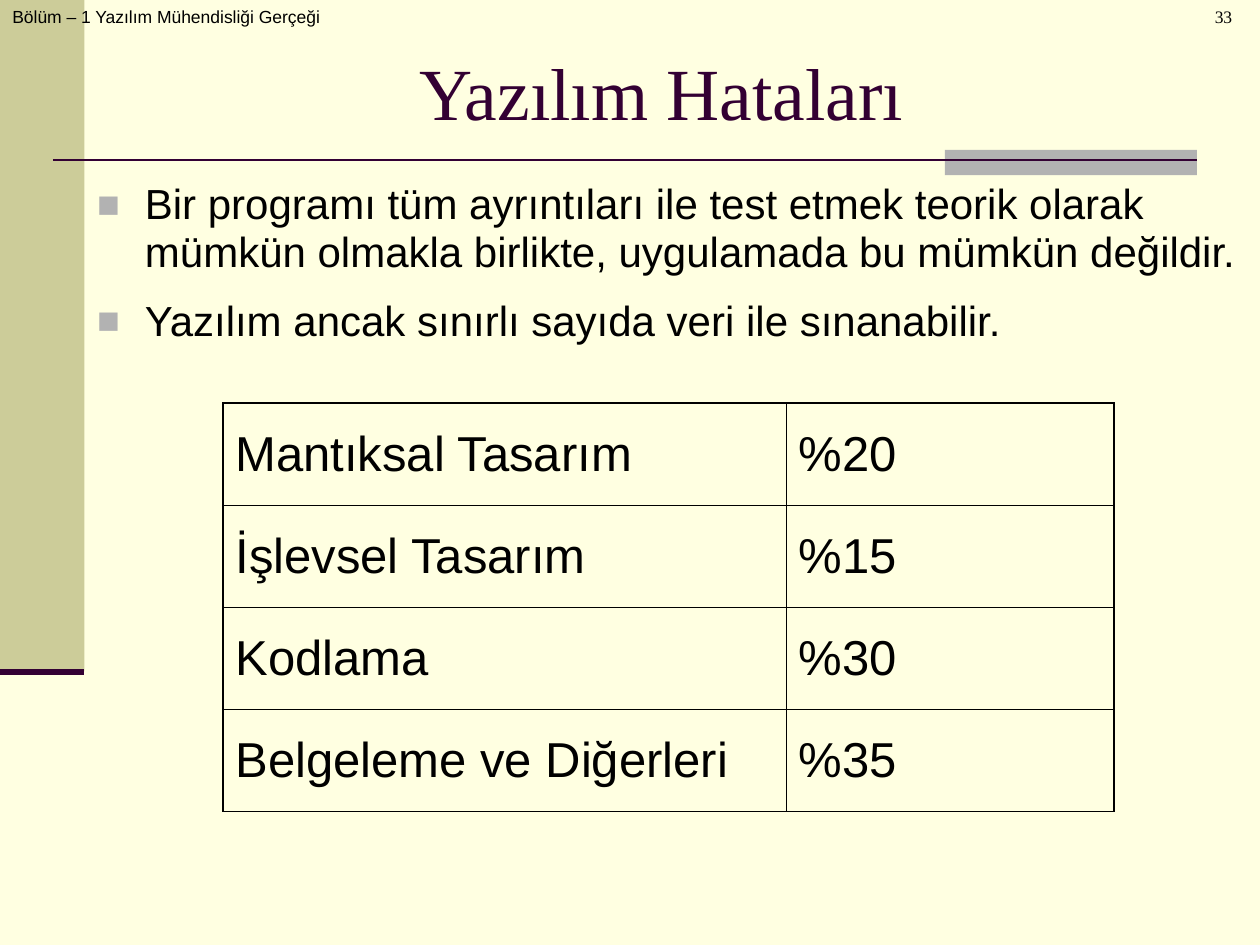
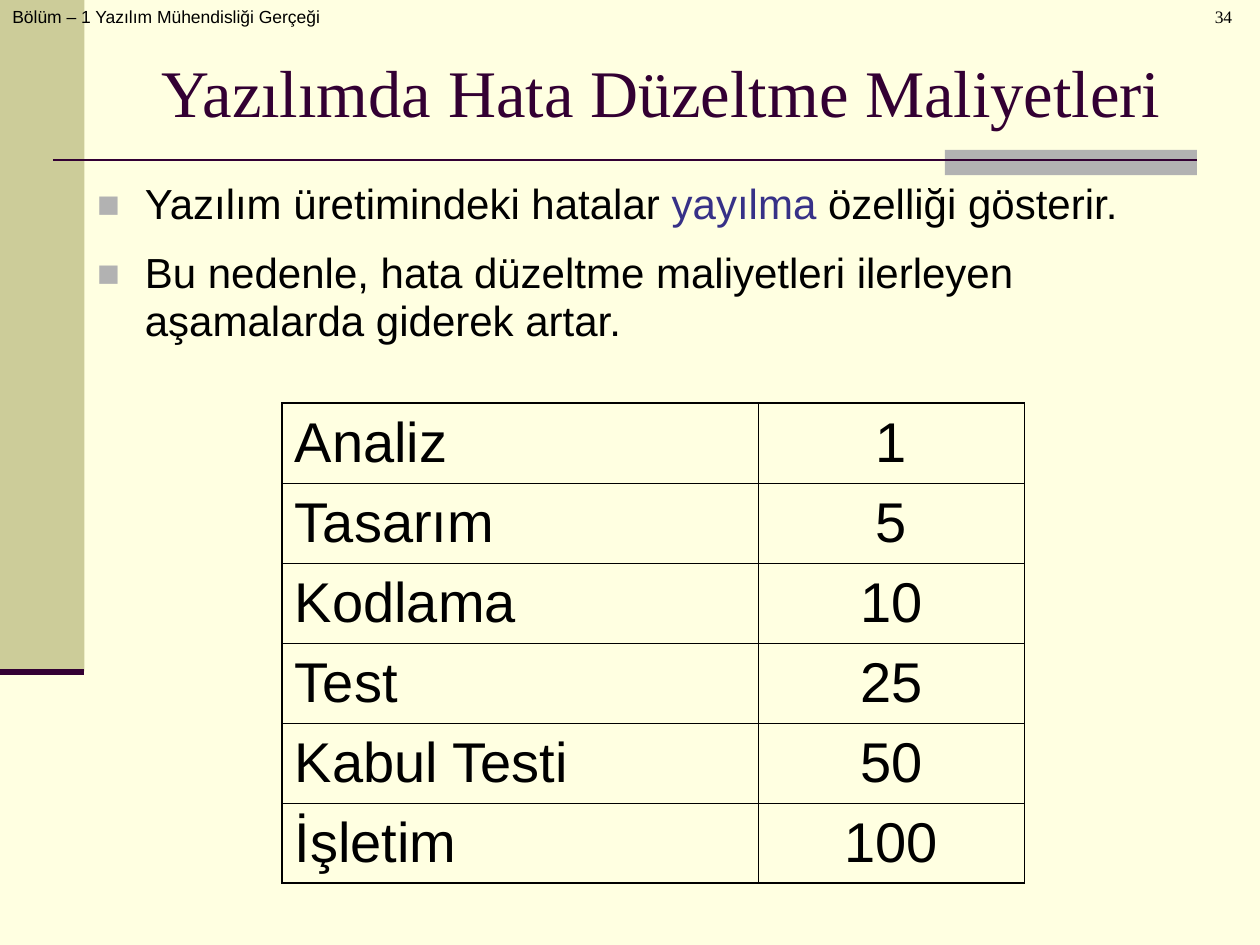
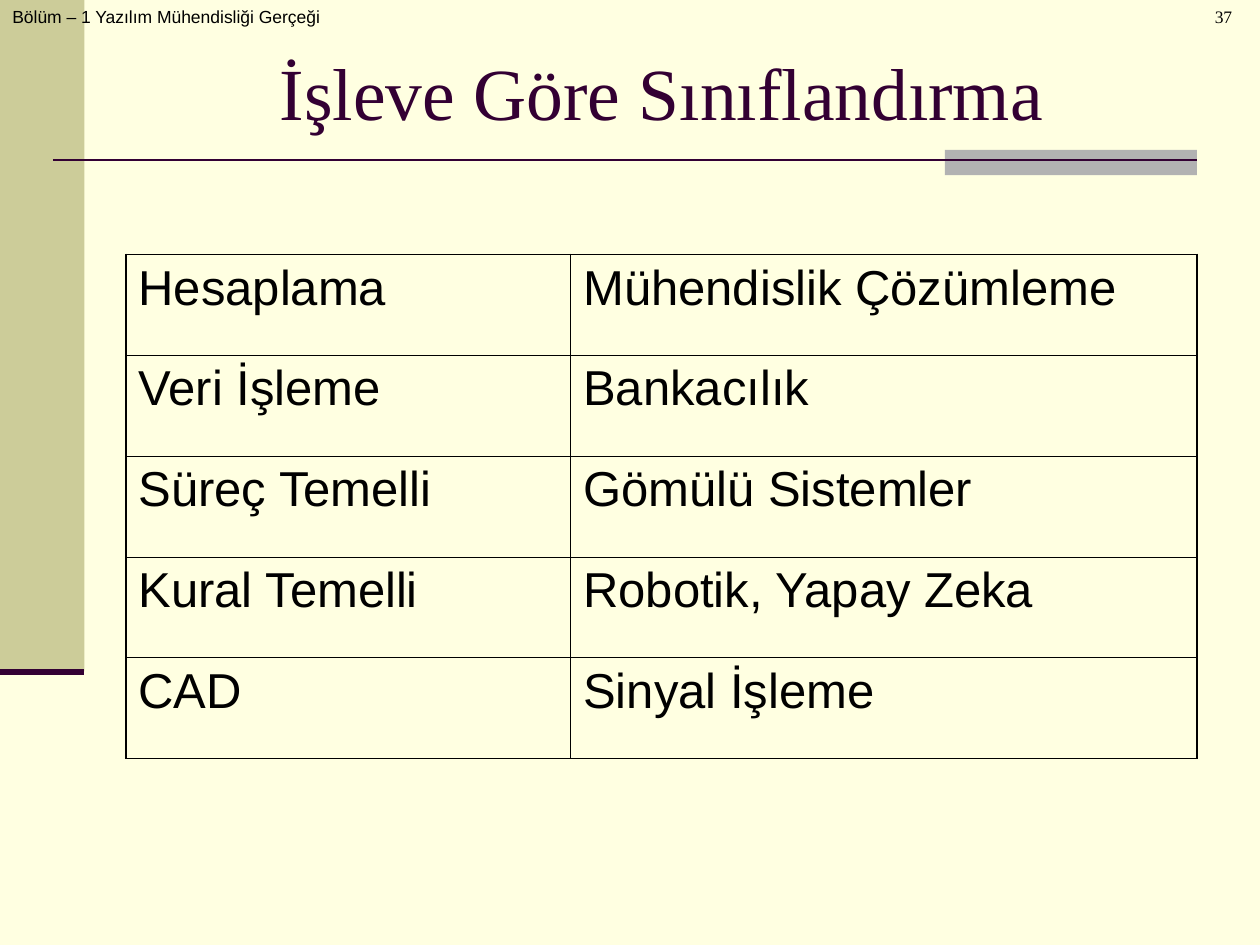
from lxml import etree
from pptx import Presentation
from pptx.dml.color import RGBColor
from pptx.enum.shapes import MSO_CONNECTOR, MSO_SHAPE
from pptx.enum.text import MSO_ANCHOR, MSO_AUTO_SIZE, PP_ALIGN
from pptx.oxml.ns import qn
from pptx.util import Inches, Pt

RECTANGLE, STRAIGHT = MSO_SHAPE.RECTANGLE, MSO_CONNECTOR.STRAIGHT
TOP, MIDDLE = MSO_ANCHOR.TOP, MSO_ANCHOR.MIDDLE
LEFT, CENTER = PP_ALIGN.LEFT, PP_ALIGN.CENTER
NO_AUTOFIT = MSO_AUTO_SIZE.NONE
TITLE_AND_CONTENT, TITLE_ONLY = 1, 5

COLORS = {"background": "FFFFE1", "band": "CCCC99", "accent": "B2B2B2",
          "title": "330033", "text": "000000", "highlight": "373187"}
SANS, SERIF = "Arial", "Times New Roman"
CHAPTER = "Bölüm – 1 Yazılım Mühendisliği Gerçeği"
OUTER_BORDER, INNER_BORDER = 1.08, 0.45

BANDS = [((0, 0, 0.67, 5.33), "band"), ((7.5, 1.19, 2, 0.2), "accent")]
RULES = [((0.42, 1.27, 9.5, 1.27), 1.5), ((0, 5.33, 0.67, 5.33), 3.5)]

# Each bullet is a list of (text, color) runs.
SLIDES = [
    {
        "number": 33, "title": "Yazılım Hataları", "title_size": 42,
        "body_width": 9.33,
        "bullets": [
            [("Bir programı tüm ayrıntıları ile test etmek teorik olarak mümkün "
              "olmakla birlikte, uygulamada bu mümkün değildir.", "text")],
            [("Yazılım ancak sınırlı sayıda veri ile sınanabilir.", "text")],
        ],
        "table": {
            "rows": [("Mantıksal Tasarım", "%20"), ("İşlevsel Tasarım", "%15"),
                     ("Kodlama", "%30"), ("Belgeleme ve Diğerleri", "%35")],
            "position": (1.77, 3.2), "widths": (4.47, 2.6), "row_height": 0.81,
            "size": 28, "anchor": MIDDLE, "alignments": (LEFT, LEFT),
        },
    },
    {
        "number": 34, "title": "Yazılımda Hata Düzeltme Maliyetleri", "title_size": 38,
        "body_width": 8.9,
        "bullets": [
            [("Yazılım üretimindeki hatalar ", "text"), ("yayılma", "highlight"),
             (" özelliği gösterir.", "text")],
            [("Bu nedenle, hata düzeltme maliyetleri ilerleyen aşamalarda "
              "giderek artar.", "text")],
        ],
        "table": {
            "rows": [("Analiz", "1"), ("Tasarım", "5"), ("Kodlama", "10"),
                     ("Test", "25"), ("Kabul Testi", "50"), ("İşletim", "100")],
            "position": (2.24, 3.2), "widths": (3.78, 2.11), "row_height": 0.635,
            "size": 32, "anchor": MIDDLE, "alignments": (LEFT, CENTER),
        },
    },
    {
        "number": 37, "title": "İşleve Göre Sınıflandırma", "title_size": 42,
        "table": {
            "rows": [("Hesaplama", "Mühendislik Çözümleme"),
                     ("Veri İşleme", "Bankacılık"),
                     ("Süreç Temelli", "Gömülü Sistemler"),
                     ("Kural Temelli", "Robotik, Yapay Zeka"),
                     ("CAD", "Sinyal İşleme")],
            "position": (1, 2.02), "widths": (3.53, 4.97), "row_height": 0.8,
            "size": 28, "anchor": TOP, "alignments": (LEFT, LEFT),
        },
    },
]


def rgb(name):
    return RGBColor.from_string(COLORS[name])


def set_attributes(target, **values):
    for name, value in values.items():
        setattr(target, name, value)


def place(shape, left, top, width, height):
    set_attributes(shape, left=Inches(left), top=Inches(top),
                   width=Inches(width), height=Inches(height))


def add_run(paragraph, text, size, font=SANS, color="text"):
    run = paragraph.add_run()
    run.text = text
    set_attributes(run.font, size=Pt(size), name=font)
    run.font.color.rgb = rgb(color)


def add_element(parent, tag, **attributes):
    return etree.SubElement(parent, qn(tag), attributes)


def add_bands(slide):
    for box, color in BANDS:
        band = slide.shapes.add_shape(RECTANGLE, *map(Inches, box))
        band.shadow.inherit = False
        band.fill.solid()
        band.fill.fore_color.rgb = rgb(color)
        band.line.fill.background()
    for ends, width in RULES:
        rule = slide.shapes.add_connector(STRAIGHT, *map(Inches, ends))
        rule.line.color.rgb = rgb("title")
        rule.line.width = Pt(width)
        add_element(rule._element.spPr, "a:effectLst")


def add_label(slide, box, text, font, alignment, indent=0):
    frame = slide.shapes.add_textbox(*map(Inches, box)).text_frame
    frame.word_wrap = True
    paragraph = frame.paragraphs[0]
    paragraph.alignment = alignment
    paragraph._p.get_or_add_pPr().set("marL", str(Inches(indent)))
    add_run(paragraph, text, 10, font)


def fill_title(slide, text, size):
    title = slide.shapes.title
    place(title, 1, 0.3, 8.5, 0.85)
    frame = title.text_frame
    set_attributes(frame, vertical_anchor=MIDDLE, auto_size=NO_AUTOFIT)
    paragraph = frame.paragraphs[0]
    paragraph.alignment = CENTER
    add_run(paragraph, text, size, SERIF, "title")


def add_square_bullet(paragraph):
    properties = paragraph._p.get_or_add_pPr()
    properties.set("marL", str(Inches(0.38)))
    properties.set("indent", str(-Inches(0.38)))
    color = add_element(properties, "a:buClr")
    add_element(color, "a:srgbClr", val=COLORS["accent"])
    add_element(properties, "a:buSzPct", val="90000")
    add_element(properties, "a:buFont", typeface=SANS)
    add_element(properties, "a:buChar", char="■")


def fill_body(slide, bullets, width):
    body = slide.placeholders[1]
    place(body, 0.67, 1.39, width, 1.73)
    frame = body.text_frame
    set_attributes(frame, vertical_anchor=TOP, auto_size=NO_AUTOFIT)
    for index, runs in enumerate(bullets):
        paragraph = frame.add_paragraph() if index else frame.paragraphs[0]
        add_square_bullet(paragraph)
        set_attributes(paragraph, line_spacing=0.95, space_before=Pt(12 if index else 0))
        for text, color in runs:
            add_run(paragraph, text, 24, color=color)


def set_borders(cell, outer_sides):
    """Draw all four sides of a cell, heavier where it meets the table's edge."""
    properties = cell._tc.get_or_add_tcPr()
    for side, is_outer in outer_sides.items():
        width = Pt(OUTER_BORDER if is_outer else INNER_BORDER)
        line = add_element(properties, f"a:ln{side}", w=str(width))
        fill = add_element(line, "a:solidFill")
        add_element(fill, "a:srgbClr", val=COLORS["text"])


def add_grid(slide, rows, position, widths, row_height, size, anchor, alignments):
    box = (*position, sum(widths), row_height * len(rows))
    table = slide.shapes.add_table(len(rows), len(widths), *map(Inches, box)).table
    set_attributes(table, first_row=False, horz_banding=False)
    for column, width in zip(table.columns, widths):
        column.width = Inches(width)
    last_row, last_column = len(rows) - 1, len(widths) - 1
    for row_index, row in enumerate(rows):
        table.rows[row_index].height = Inches(row_height)
        for column_index, text in enumerate(row):
            cell = table.cell(row_index, column_index)
            set_borders(cell, {"L": column_index == 0, "R": column_index == last_column,
                               "T": row_index == 0, "B": row_index == last_row})
            cell.fill.background()
            cell.vertical_anchor = anchor
            paragraph = cell.text_frame.paragraphs[0]
            paragraph.alignment = alignments[column_index]
            add_run(paragraph, text, size)


def build_slide(presentation, content):
    bullets = content.get("bullets")
    layout = TITLE_AND_CONTENT if bullets else TITLE_ONLY
    slide = presentation.slides.add_slide(presentation.slide_layouts[layout])
    add_bands(slide)
    add_label(slide, (0, 0, 3.27, 0.5), CHAPTER, SANS, LEFT)
    fill_title(slide, content["title"], content["title_size"])
    add_grid(slide, **content["table"])
    if bullets:
        fill_body(slide, bullets, content["body_width"])
    add_label(slide, (9.1, 0, 0.98, 0.5), str(content["number"]), SERIF, CENTER, 0.24)


def main():
    presentation = Presentation()
    set_attributes(presentation, slide_width=Inches(10), slide_height=Inches(7.5))
    background = presentation.slide_master.background.fill
    background.solid()
    background.fore_color.rgb = rgb("background")
    for content in SLIDES:
        build_slide(presentation, content)
    presentation.save("out.pptx")


if __name__ == "__main__":
    main()
